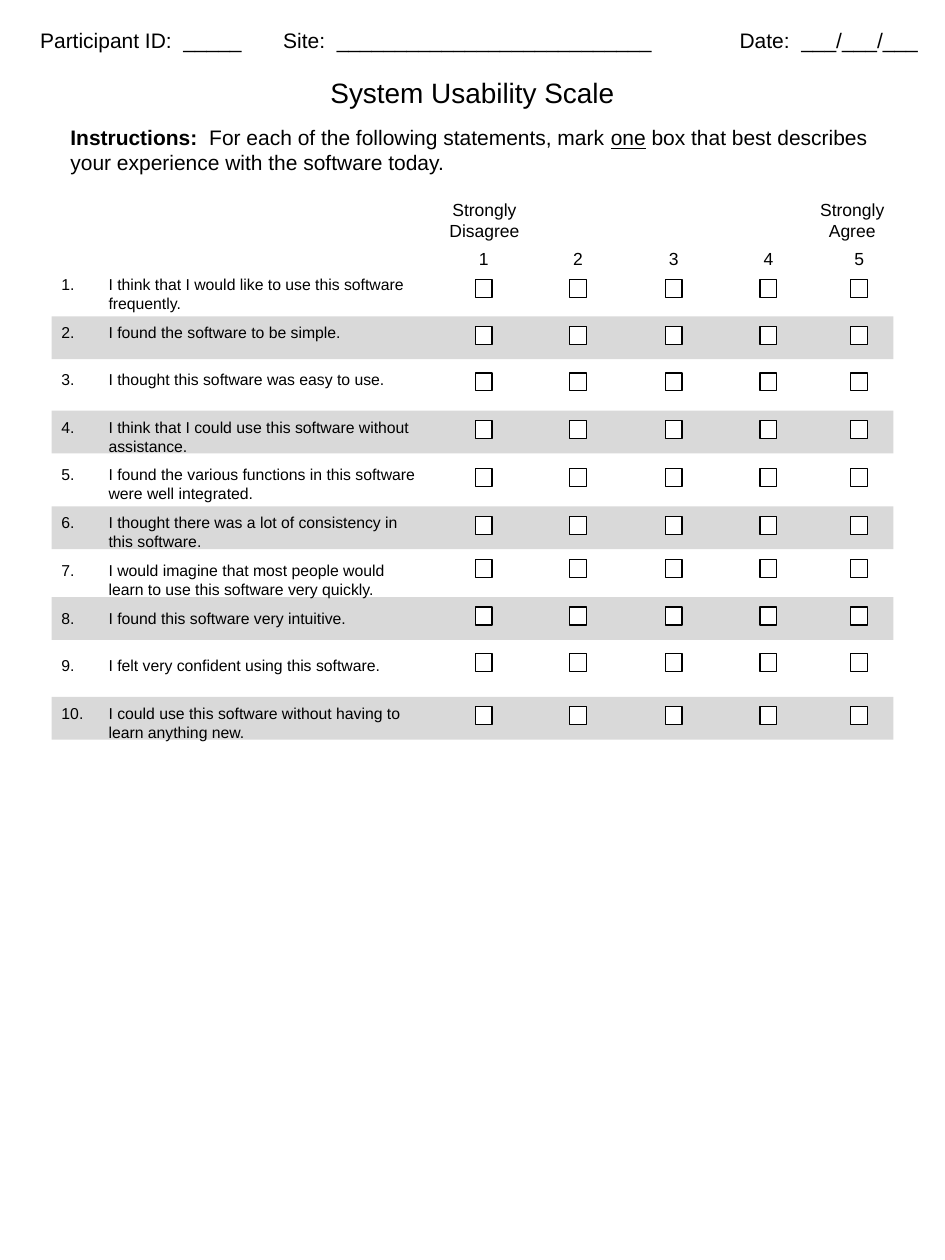
from pptx import Presentation
from pptx.dml.color import RGBColor
from pptx.enum.shapes import MSO_SHAPE
from pptx.enum.text import MSO_ANCHOR, PP_ALIGN
from pptx.oxml.ns import qn
from pptx.util import Cm, Pt

RECT = MSO_SHAPE.RECTANGLE
TOP, MID = MSO_ANCHOR.TOP, MSO_ANCHOR.MIDDLE
LEFT, MIDST = PP_ALIGN.LEFT, PP_ALIGN.CENTER
FONT = "Arial"
COLORS = {"ink": "000000", "band": "D9D9D9", "box": "FFFFFF"}

# text, left, top, width, height, wrap
FIELDS = [
    ("Participant ID:  _____", 0.56, 0.43, 5.69, 0.77, False),
    ("Site:  ___________________________", 5.46, 0.43, 8.64, 0.77, True),
    ("Date:  ___/___/___", 14.66, 0.43, 4.22, 0.77, False),
]
TITLE = "System Usability Scale"
GUIDE = [
    ("Instructions:  ", "bold"),
    ("For each of the following statements, mark ", ""),
    ("one", "under"),
    (" box that best describes your experience with the software today.", ""),
]
# lines, left, width
ENDS = [
    (["Strongly", "Disagree"], 8.81, 1.91),
    (["Strongly", "Agree"], 16.28, 1.8),
]
# statement, lines it takes, top of its boxes
ITEMS = [
    ("I think that I would like to use this software frequently.", 2, 5.64),
    ("I found the software to be simple.", 1, 6.58),
    ("I thought this software was easy to use.", 1, 7.52),
    ("I think that I could use this software without assistance.", 2, 8.48),
    ("I found the various functions in this software were well integrated.",
     2, 9.45),
    ("I thought there was a lot of consistency in this software.", 2, 10.41),
    ("I would imagine that most people would learn to use this software "
     "very quickly.", 2, 11.28),
    ("I found this software very intuitive.", 1, 12.24),
    ("I felt very confident using this software.", 1, 13.18),
    ("I could use this software without having to learn anything new.",
     2, 14.25),
]
COLS = [9.58, 11.48, 13.41, 15.32, 17.15]
BOX_W, BOX_H = 0.34, 0.36
BAND_X, BAND_W, BAND_H, BAND_UP = 1.04, 16.97, 0.86, 0.2
NUM_Y, NUM_SIZE = 4.88, 0.69
GAP, LINE = 5.6, 10.8
INDENT = Cm(0.95)


def add_rect(slide, x, y, w, h, fill, line=None):
    rect = slide.shapes.add_shape(RECT, Cm(x), Cm(y), Cm(w), Cm(h))
    rect.shadow.inherit = False
    rect.fill.solid()
    rect.fill.fore_color.rgb = RGBColor.from_string(COLORS[fill])
    if line:
        rect.line.color.rgb = RGBColor.from_string(COLORS[line])
        rect.line.width = Pt(0.75)
    else:
        rect.line.fill.background()


def add_frame(slide, x, y, w, h, wrap=True, anchor=TOP):
    frame = slide.shapes.add_textbox(Cm(x), Cm(y), Cm(w), Cm(h)).text_frame
    frame.word_wrap = wrap
    frame.vertical_anchor = anchor
    return frame


def add_run(para, text, size, style=""):
    run = para.add_run()
    run.text = text
    font = run.font
    font.name, font.size = FONT, Pt(size)
    font.color.rgb = RGBColor.from_string(COLORS["ink"])
    font.bold = style == "bold"
    font.underline = style == "under"


def add_lines(frame, lines, size, align=LEFT):
    para = frame.paragraphs[0]
    para.alignment = align
    for i, line in enumerate(lines):
        if i:
            para.add_line_break()
        add_run(para, line, size)


def set_number(para):
    """Give the paragraph a hanging automatic number."""
    props = para._p.get_or_add_pPr()
    props.set("marL", str(INDENT))
    props.set("indent", str(-INDENT))
    mark = props.makeelement(qn("a:buAutoNum"), {"type": "arabicPeriod"})
    props.append(mark)


def add_items(slide):
    """One numbered list; a one-line item leaves a line free after it."""
    frame = add_frame(slide, 0.99, 5.41, 7.8, 9.68)
    free = 0
    for i, (text, lines, _) in enumerate(ITEMS):
        para = frame.add_paragraph() if i else frame.paragraphs[0]
        para.space_before = Pt(GAP + free)
        set_number(para)
        add_run(para, text, 9)
        free = LINE * (2 - lines)


def main():
    prs = Presentation()
    prs.slide_width, prs.slide_height = Cm(19.05), Cm(25.4)
    slide = prs.slides.add_slide(prs.slide_layouts[6])

    for _, _, y in ITEMS[1::2]:
        add_rect(slide, BAND_X, y - BAND_UP, BAND_W, BAND_H, "band")

    for text, x, y, w, h, wrap in FIELDS:
        add_lines(add_frame(slide, x, y, w, h, wrap, MID), [text], 12)
    head = add_frame(slide, 0, 1.4, 19.05, 0.94, anchor=MID)
    add_lines(head, [TITLE], 16, MIDST)
    guide = add_frame(slide, 1.17, 2.39, 16.79, 1.27, anchor=MID)
    for text, style in GUIDE:
        add_run(guide.paragraphs[0], text, 12, style)

    for lines, x, w in ENDS:
        add_lines(add_frame(slide, x, 3.89, w, 1.12, False), lines, 10, MIDST)
    for num, x in enumerate(COLS, 1):
        left = x + (BOX_W - NUM_SIZE) / 2
        frame = add_frame(slide, left, NUM_Y, NUM_SIZE, NUM_SIZE, False)
        add_lines(frame, [str(num)], 10, MIDST)

    add_items(slide)
    for _, _, y in ITEMS:
        for x in COLS:
            add_rect(slide, x, y, BOX_W, BOX_H, "box", "ink")

    prs.save("out.pptx")


if __name__ == "__main__":
    main()
